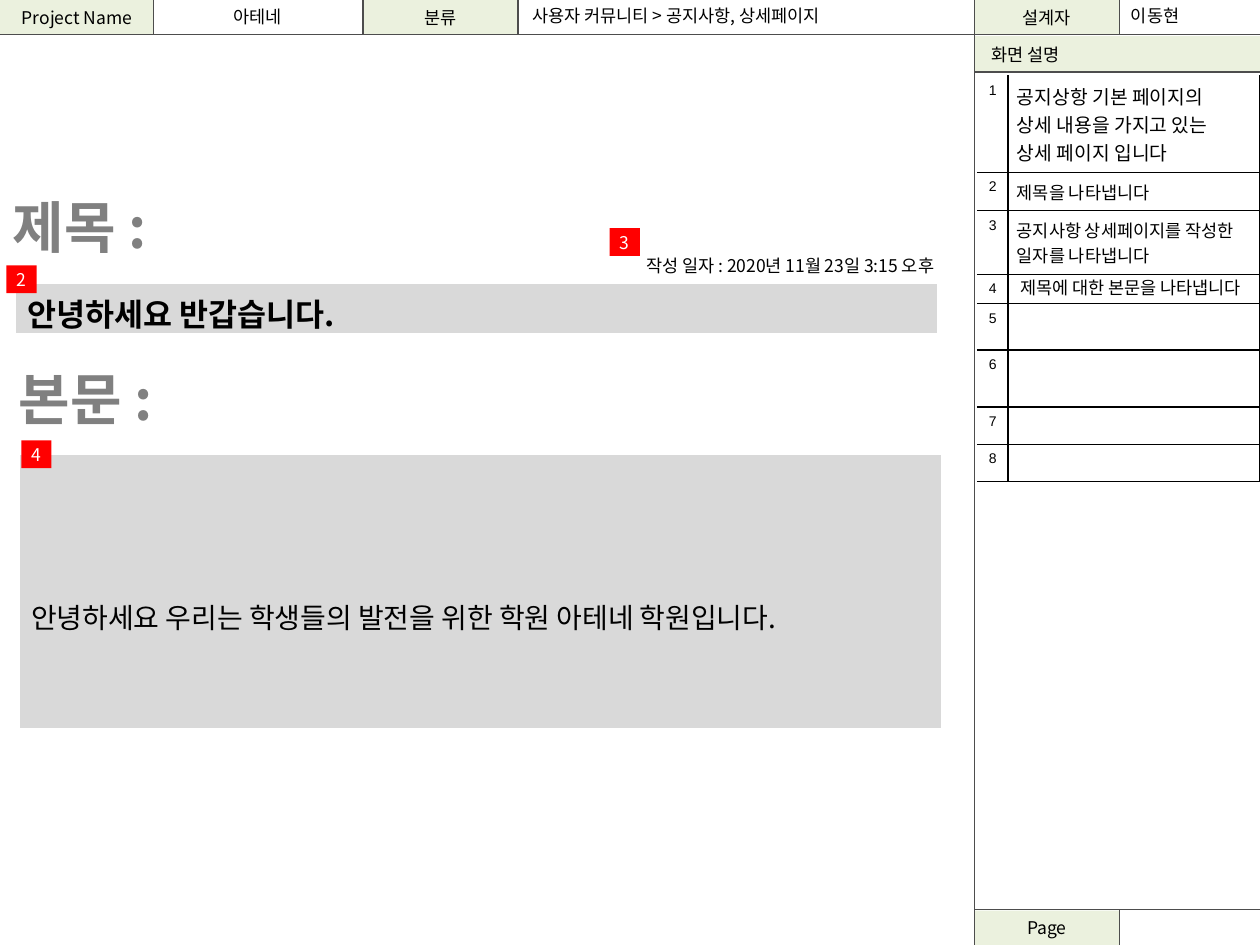
import pptx
import pptx.dml.color
import pptx.enum.shapes
import pptx.enum.text
import pptx.oxml.ns
import pptx.util
from lxml import etree
from pptx.util import Cm

FONT = "Noto Sans CJK KR"
BLACK, WHITE, GRAY, RULE = "000000", "FFFFFF", "808080", "4D4D4D"
HEADER_FILL, FIELD_FILL, BADGE_FILL = "EBF1DE", "D9D9D9", "FF0000"
LEFT = pptx.enum.text.PP_ALIGN.LEFT
CENTER = pptx.enum.text.PP_ALIGN.CENTER
RIGHT = pptx.enum.text.PP_ALIGN.RIGHT
MIDDLE = pptx.enum.text.MSO_ANCHOR.MIDDLE

# Content; all places are left, top, width, height in centimetres
PANEL, BAR, FOOT, SPLIT = 19.64, 0.69, 18.34, 22.57
WIDTH, HEIGHT = 25.4, 19.05
HEADERS = [
    ("Project Name", 0, 0, 3.1, BAR),
    ("분류", 7.33, 0, 3.12, BAR),
    ("설계자", PANEL, 0, 2.93, BAR),
    ("화면 설명", PANEL, 0.73, 5.76, 0.73),
    ("Page", PANEL, 18.36, 2.93, BAR),
]
RULES = [
    (0, BAR, WIDTH, BAR), (PANEL, 1.45, WIDTH, 1.45), (PANEL, FOOT, WIDTH, FOOT),
    (3.1, 0, 3.1, BAR), (7.32, 0, 7.32, BAR), (10.44, 0, 10.44, BAR),
    (SPLIT, 0, SPLIT, BAR), (SPLIT, FOOT, SPLIT, HEIGHT), (PANEL, 0, PANEL, HEIGHT),
]
LABELS = [
    ("아테네", (3.1, 0.02, 4.2, 0.64), 10, BLACK, False, CENTER),
    ("이동현", (22.55, -0.03, 2.6, BAR), 10, BLACK, False, LEFT),
    ("사용자 커뮤니티 > 공지사항, 상세페이지", (10.49, -0.03, 9, BAR), 10, BLACK, False, LEFT),
    ("작성 일자 : 2020년 11월 23일 3:15 오후", (10.08, 5, 9, BAR), 10, BLACK, False, RIGHT),
    ("본문 :", (0.13, 7.22, 14.8, 1.62), 32, GRAY, True, LEFT),
]
TITLE = ("제목 :", (0, 3.74, 14.8, 1.62))
# Text, place, size, bold, top margin
FIELDS = [
    ("안녕하세요 반갑습니다.", (0.31, 5.72, 18.6, 1.04), 18, True, 0.13),
    ("안녕하세요 우리는 학생들의 발전을 위한 학원 아테네 학원입니다.",
     (0.38, 9.15, 18.6, 5.58), 16, False, 2.87),
]
BADGES = [("2", 0.13, 5.35), ("3", 12.29, 4.6), ("4", 0.43, 8.88)]
# Text, size, row height, side margin, top margin
NOTES = [
    ("공지상항 기본 페이지의\n상세 내용을 가지고 있는\n상세 페이지 입니다", 11, 1.92, 0.18, 0.13),
    ("제목을 나타냅니다", 10, 0.75, 0.18, 0.13),
    ("공지사항 상세페이지를 작성한 일자를 나타냅니다", 10, 1.25, 0.18, 0.13),
    ("제목에 대한 본문을 나타냅니다", 10, 0.6, 0.25, 0),
    ("", 8, 0.93, 0.18, 0.13),
    ("", 8, 1.15, 0.18, 0.13),
    ("", 8, 0.75, 0.18, 0.13),
    ("", 8, 0.76, 0.18, 0.13),
]


def color(value):
    return pptx.dml.color.RGBColor.from_string(value)


def lengths(values):
    return [Cm(value) for value in values]


def child(parent, tag, **attributes):
    return etree.SubElement(parent, pptx.oxml.ns.qn(tag), **attributes)


def write(frame, text, size, ink=BLACK, bold=False, align=LEFT, font=FONT):
    frame.text = text
    for paragraph in frame.paragraphs:
        paragraph.alignment = align
        if not paragraph.runs:
            child(paragraph._p, "a:endParaRPr", sz=str(size * 100))
        for run in paragraph.runs:
            run.font.size = pptx.util.Pt(size)
            run.font.bold = bold
            run.font.name = font
            run.font.color.rgb = color(ink)
            child(run._r.get_or_add_rPr(), "a:ea", typeface=font)


def set_margins(target, side, top, bottom):
    target.margin_left = target.margin_right = Cm(side)
    target.margin_top, target.margin_bottom = Cm(top), Cm(bottom)


def add_box(place, fill, text, ink=BLACK, align=CENTER, side=0):
    box = slide.shapes.add_shape(pptx.enum.shapes.MSO_SHAPE.RECTANGLE, *lengths(place))
    box.shadow.inherit = False
    box.fill.solid()
    box.fill.fore_color.rgb = color(fill)
    box.line.fill.background()
    box.text_frame.vertical_anchor = MIDDLE
    set_margins(box.text_frame, side, 0, 0)
    write(box.text_frame, text, 10, ink, align=align)


def add_table(place, row_heights, column_widths):
    frame = slide.shapes.add_table(len(row_heights), len(column_widths), *lengths(place))
    table = frame.table
    table.first_row = table.horz_banding = False
    for row, height in zip(table.rows, row_heights):
        row.height = Cm(height)
    for column, width in zip(table.columns, column_widths):
        column.width = Cm(width)
    return table


def style_cell(cell, borders, fill=None):
    properties = cell._tc.get_or_add_tcPr()
    for side, (ink, width) in borders.items():
        line = child(properties, "a:ln" + side, w=str(pptx.util.Pt(width)))
        child(child(line, "a:solidFill"), "a:srgbClr", val=ink)
    if fill:
        cell.fill.solid()
        cell.fill.fore_color.rgb = color(fill)
    else:
        cell.fill.background()


presentation = pptx.Presentation()
presentation.slide_width, presentation.slide_height = Cm(WIDTH), Cm(HEIGHT)
slide = presentation.slides.add_slide(presentation.slide_layouts[5])

# Header cells and frame rules
for text, *place in HEADERS:
    is_section = text == "화면 설명"
    add_box(place, HEADER_FILL, text, align=LEFT if is_section else CENTER,
            side=0.34 if is_section else 0)
for ends in RULES:
    rule = slide.shapes.add_connector(pptx.enum.shapes.MSO_CONNECTOR.STRAIGHT, *lengths(ends))
    rule.line.color.rgb = color(RULE)
    rule.line.width = pptx.util.Pt(0.75)
    child(rule._element.spPr, "a:effectLst")

# Numbered screen notes
heights = [note[2] for note in NOTES]
notes_table = add_table((19.71, 1.53, 5.69, sum(heights)), heights, (0.61, 5.08))
thin = (BLACK, 0.75)
for index, (text, size, _, side, top) in enumerate(NOTES):
    number, note = notes_table.cell(index, 0), notes_table.cell(index, 1)
    across = {"T": thin, "B": thin} if index else {"B": thin}
    style_cell(number, {"R": thin, **across})
    style_cell(note, {"L": thin, "R": thin, **across})
    set_margins(number, 0.1, 0.13, 0.13)
    set_margins(note, side, top, top)
    write(number.text_frame, str(index + 1), 8, align=CENTER, font="Arial")
    write(note.text_frame, text, size)

# Title and labels
title = slide.shapes.title
text, place = TITLE
title.left, title.top, title.width, title.height = lengths(place)
title.text_frame.vertical_anchor = MIDDLE
title.text_frame.auto_size = pptx.enum.text.MSO_AUTO_SIZE.NONE
write(title.text_frame, text, 32, GRAY, True)
for text, place, size, ink, bold, align in LABELS:
    label = slide.shapes.add_textbox(*lengths(place))
    label.text_frame.word_wrap = True
    label.text_frame.vertical_anchor = MIDDLE
    write(label.text_frame, text, size, ink, bold, align)

# Grey fields
for text, place, size, bold, top in FIELDS:
    cell = add_table(place, place[3:], place[2:3]).cell(0, 0)
    style_cell(cell, {"L": (WHITE, 1), "R": (WHITE, 1), "T": (WHITE, 1), "B": (WHITE, 3)}, FIELD_FILL)
    set_margins(cell, 0.25, top, 0)
    write(cell.text_frame, text, size, bold=bold)

# Red number badges
for text, left, top in BADGES:
    add_box((left, top, 0.61, 0.56), BADGE_FILL, text, WHITE)

presentation.save("out.pptx")
